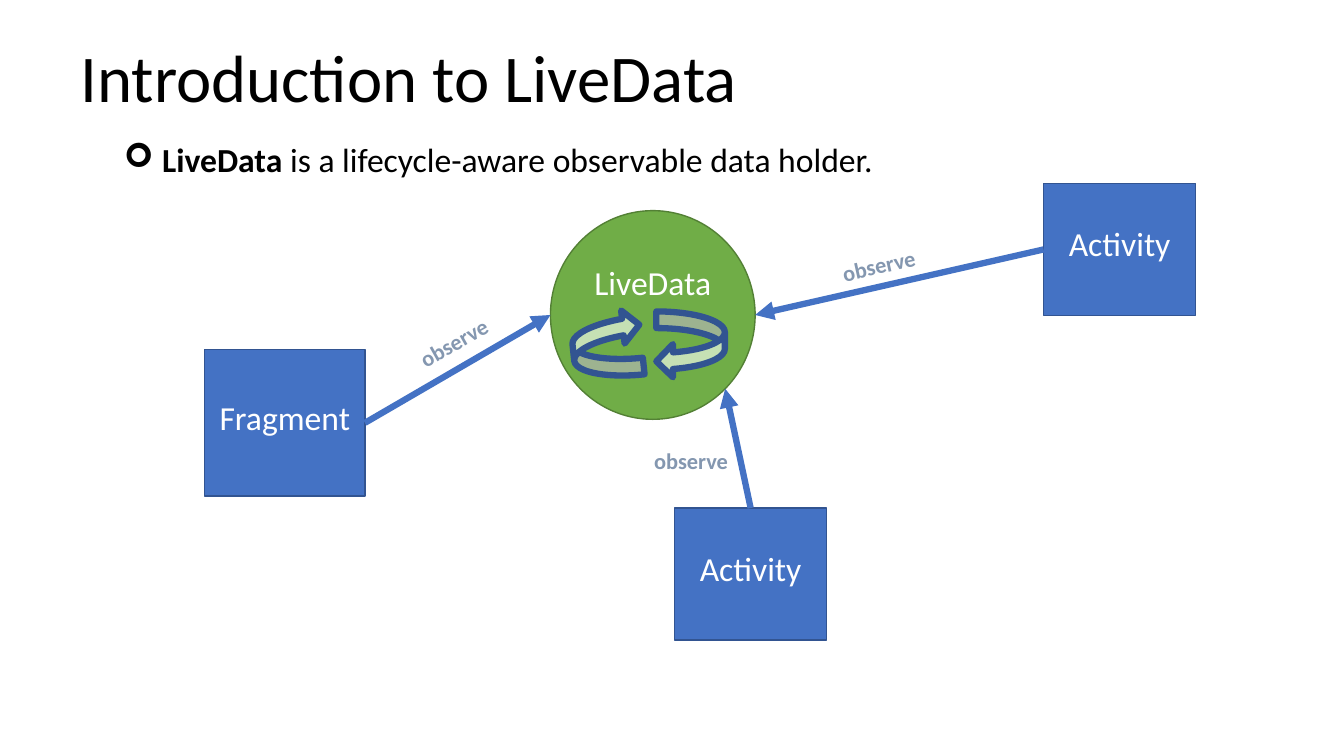
import math
from lxml import etree
from pptx import Presentation
from pptx import util as u
from pptx.dml.color import RGBColor
from pptx.enum import shapes, text
from pptx.oxml import ns

FONT = "Calibri"
BLUE, NAVY = "4472C4", "325491"
TOP, LEFT, RIGHT = 0, 1, 3


def color(value):
    return RGBColor.from_string(value)


def lengths(*values):
    return [u.Inches(value) for value in values]


def style_font(font, size, shade, bold=False):
    font.name, font.size, font.bold = FONT, u.Pt(size), bold
    font.color.rgb = color(shade)


def add_text(page, box, words, size, shade, bold=False):
    frame = page.shapes.add_textbox(*lengths(*box))
    frame.text_frame.word_wrap = True
    para = frame.text_frame.paragraphs[0]
    para.text = words
    style_font(para.font, size, shade, bold)
    return frame


def add_title(page, box):
    title = add_text(page, box, "Introduction to LiveData", 47.7, "000000")
    title.text_frame.vertical_anchor = text.MSO_ANCHOR.BOTTOM
    title.text_frame.paragraphs[0].line_spacing = 0.9


def add_definition(page, box):
    frame = page.shapes.add_textbox(*lengths(*box)).text_frame
    frame.word_wrap = True
    para = frame.paragraphs[0]
    props = para._p.get_or_add_pPr()
    props.set("marL", str(u.Inches(0.38)))
    props.set("indent", str(-u.Inches(0.38)))
    etree.SubElement(props, ns.qn("a:buFont")).set("typeface", "Wingdings")
    etree.SubElement(props, ns.qn("a:buChar")).set("char", "➢")
    for words, bold in (("LiveData", True),
                        (" is a lifecycle-aware observable data holder.", False)):
        span = para.add_run()
        span.text = words
        style_font(span.font, 24, "000000", bold)


def add_figure(page, kind, box, fill, outline, weight):
    figure = page.shapes.add_shape(kind, *lengths(*box))
    figure.shadow.inherit = False
    figure.fill.solid()
    figure.fill.fore_color.rgb = color(fill)
    figure.line.color.rgb = color(outline)
    figure.line.width = u.Pt(weight)
    return figure


def add_caption(figure, words, lift):
    frame = figure.text_frame
    frame.vertical_anchor = text.MSO_ANCHOR.MIDDLE
    frame.margin_bottom = u.Inches(0.05 + 2 * lift)
    para = frame.paragraphs[0]
    para.text = words
    para.alignment = text.PP_ALIGN.CENTER
    style_font(para.font, 24, "FFFFFF")


def add_holder(page, box):
    left, top, width, height = box
    circle = add_figure(page, shapes.MSO_SHAPE.OVAL, box, "70AD47", "538035", 1)
    add_caption(circle, "LiveData", 0.33)
    for offset, turn in ((1.05, 0), (0.22, 174)):
        arrow = add_figure(page, shapes.MSO_SHAPE.CURVED_RIGHT_ARROW,
                           (left + offset, top + 1, 0.68, 0.66), "C5E0B4", NAVY, 4.5)
        arrow.rotation = turn
        arrow._element.spPr.find(ns.qn("a:xfrm")).set("flipH", "1")


def rim_point(box, degrees):
    left, top, width, height = box
    angle = math.radians(degrees)
    return (left + width / 2 * (1 + math.cos(angle)),
            top + height / 2 * (1 + math.sin(angle)))


def add_observer(page, box, name, side, target, label_box, turn):
    square = add_figure(page, shapes.MSO_SHAPE.RECTANGLE, box, BLUE, NAVY, 1)
    add_caption(square, name, 0.06)
    link = page.shapes.add_connector(shapes.MSO_CONNECTOR.STRAIGHT,
                                     *lengths(*box[:2], *target))
    link.begin_connect(square, side)
    link.line.color.rgb = color(BLUE)
    link.line.width = u.Pt(4.5)
    etree.SubElement(link.line._get_or_add_ln(), ns.qn("a:tailEnd")).set("type", "triangle")
    etree.SubElement(link._element.spPr, ns.qn("a:effectLst"))
    add_text(page, label_box, "observe", 16, "8497B0", True).rotation = turn


def add_diagram(page, holder):
    add_holder(page, holder)
    observers = (
        ((6.69, 5.04, 1.51, 1.31), "Activity", TOP, 45, (6.39, 4.39), 0),
        ((2.03, 3.47, 1.59, 1.45), "Fragment", RIGHT, 180, (4.03, 3.19), 330.5),
        ((10.35, 1.82, 1.51, 1.31), "Activity", LEFT, 0, (8.25, 2.44), 347.5),
    )
    for box, name, side, degrees, label, turn in observers:
        add_observer(page, box, name, side, rim_point(holder, degrees),
                     (*label, 1.02, 0.37), turn)


def main():
    deck = Presentation()
    deck.slide_width, deck.slide_height = lengths(13.33, 7.5)
    page = deck.slides.add_slide(deck.slide_layouts[6])
    add_title(page, (0.7, 0.61, 11.54, 0.6))
    add_definition(page, (1.13, 1.33, 8.9, 0.5))
    add_diagram(page, (5.46, 2.09, 2.03, 2.07))
    deck.save("out.pptx")


if __name__ == "__main__":
    main()
